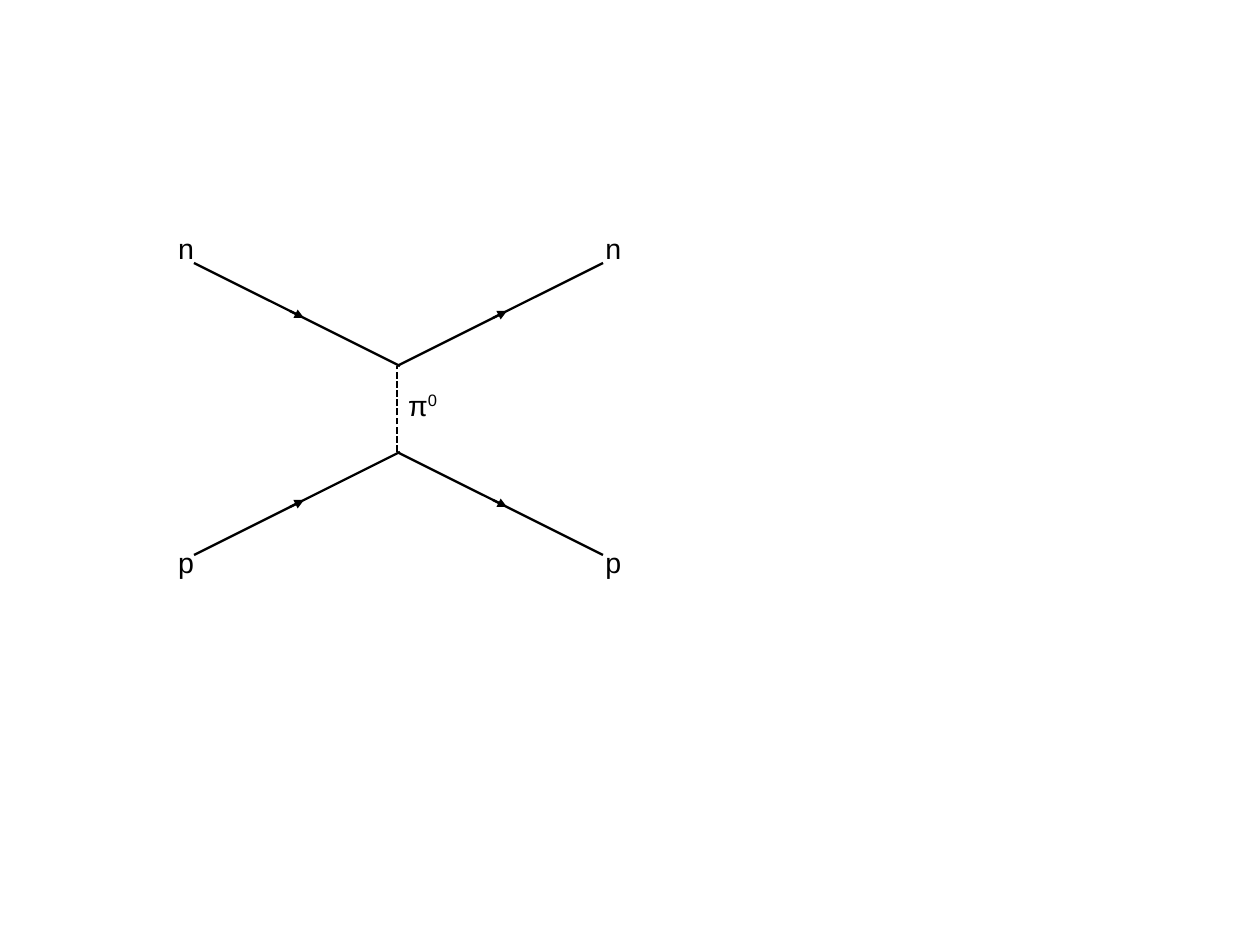
"""Builds a slide with the diagram of neutron-proton scattering by pion exchange."""
from dataclasses import dataclass

from lxml.etree import SubElement
from pptx import Presentation
from pptx.dml.color import RGBColor
from pptx.enum.dml import MSO_LINE
from pptx.enum.shapes import MSO_CONNECTOR as CONNECTOR
from pptx.enum.text import MSO_AUTO_SIZE as AUTO_SIZE
from pptx.oxml.ns import qn
from pptx.util import Emu, Pt


@dataclass(frozen=True)
class Theme:
    ink: RGBColor = RGBColor(0, 0, 0)
    font: str = "Arial"
    size: float = 18
    line: float = 1.45


THEME = Theme()
PX = 8000
SLIDE = (1260, 945)

IN_X, VERTEX_X = 194, 397
N_Y, N_VERTEX_Y = 263, 366
P_Y, P_VERTEX_Y = 555, 452
LEGS = [
    (IN_X, N_Y, 1),
    (VERTEX_X, N_VERTEX_Y, -1),
    (IN_X, P_Y, -1),
    (VERTEX_X, P_VERTEX_Y, 1),
]
HALF = (110, 55)
STEP = (96, 48)

LABEL_XS = (167, 594)
LABEL_ROWS = [("p", 539), ("n", 225)]
LABEL_SIZE = (39, 44)
PION = ("π", "0")
PION_BOX = (397, 382, 72, 44)


def px(n):
    return Emu(n * PX)


def add_line(s, x1, y1, x2, y2, arrow=False, dash=None):
    c = s.shapes.add_connector(CONNECTOR.STRAIGHT, px(x1), px(y1), px(x2), px(y2))
    c.line.color.rgb = THEME.ink
    c.line.width = Pt(THEME.line)
    if dash:
        c.line.dash_style = dash
    if arrow:
        SubElement(c.line._get_or_add_ln(), qn("a:tailEnd"), type="triangle")
    SubElement(c._element.spPr, qn("a:effectLst"))


def add_leg(s, x, y, slope):
    (w, h), (dx, dy) = HALF, STEP
    add_line(s, x, y, x + w, y + slope * h, arrow=True)
    x, y = x + dx, y + slope * dy
    add_line(s, x, y, x + w, y + slope * h)


def add_text(s, box, text, superscript=None):
    tf = s.shapes.add_textbox(*map(px, box)).text_frame
    tf.word_wrap = True
    tf.auto_size = AUTO_SIZE.SHAPE_TO_FIT_TEXT
    p = tf.paragraphs[0]
    for part in filter(None, (text, superscript)):
        r = p.add_run()
        r.text = part
        r.font.name = THEME.font
        r.font.size = Pt(THEME.size)
        r.font.color.rgb = THEME.ink
    if superscript:
        r.font._element.set("baseline", "33000")


def main():
    prs = Presentation()
    prs.slide_width, prs.slide_height = map(px, SLIDE)
    s = prs.slides.add_slide(prs.slide_layouts[6])
    for leg in LEGS:
        add_leg(s, *leg)
    add_line(s, VERTEX_X, P_VERTEX_Y, VERTEX_X, N_VERTEX_Y, dash=MSO_LINE.SQUARE_DOT)
    for name, y in LABEL_ROWS:
        for x in LABEL_XS:
            add_text(s, (x, y, *LABEL_SIZE), name)
    symbol, charge = PION
    add_text(s, PION_BOX, symbol, superscript=charge)
    prs.save("out.pptx")


if __name__ == "__main__":
    main()
